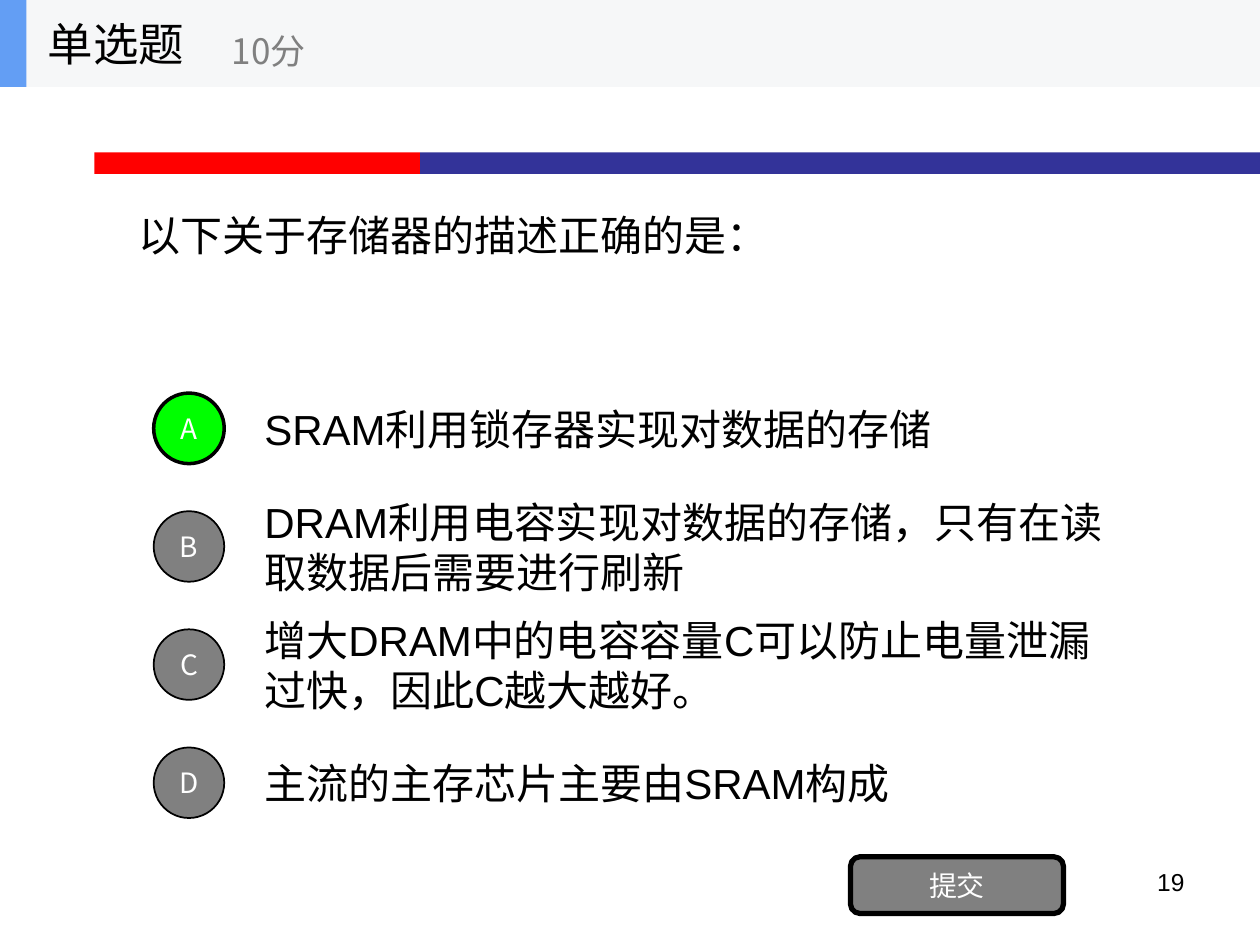
"""Build a single-choice quiz slide about memory chips."""
from dataclasses import dataclass

from lxml import etree
from pptx import Presentation
from pptx import util as u
from pptx.dml.color import RGBColor
from pptx.enum import shapes, text
from pptx.oxml.ns import qn

WIDTH, HEIGHT = 10, 7.5
ROW = HEIGHT / 8
FIRST_ROW = 3.05
ANSWER_HEIGHT = 0.7
BADGE = 0.56
HEADER = 0.69
SANS, CJK = "Arial", "Noto Sans CJK SC"
COLORS = {
    "black": "000000", "white": "FFFFFF", "gray": "808080", "green": "00FF00",
    "red": "FF0000", "navy": "333399", "header": "F6F7F8", "accent": "639EF4",
}


@dataclass(frozen=True)
class Box:
    left: float
    top: float
    width: float
    height: float

    def lengths(self) -> list:
        return [u.Inches(v) for v in (self.left, self.top, self.width, self.height)]


@dataclass(frozen=True)
class Style:
    size: int
    font: str = SANS
    color: str = "black"
    align: text.PP_ALIGN = text.PP_ALIGN.LEFT
    anchor: text.MSO_ANCHOR = text.MSO_ANCHOR.MIDDLE


@dataclass(frozen=True)
class Answer:
    letter: str
    wording: str
    correct: bool = False


BODY = Style(24)
BUTTON = Style(16, CJK, "white", text.PP_ALIGN.CENTER)
ANSWERS = [
    Answer("A", "SRAM利用锁存器实现对数据的存储", True),
    Answer("B", "DRAM利用电容实现对数据的存储，只有在读取数据后需要进行刷新"),
    Answer("C", "增大DRAM中的电容容量C可以防止电量泄漏过快，因此C越大越好。"),
    Answer("D", "主流的主存芯片主要由SRAM构成"),
]


def rgb(name: str) -> RGBColor:
    return RGBColor.from_string(COLORS[name])


def write(shape, wording: str, style: Style) -> None:
    frame = shape.text_frame
    frame.text = wording
    frame.word_wrap = True
    frame.auto_size = text.MSO_AUTO_SIZE.NONE
    frame.vertical_anchor = style.anchor
    paragraph = frame.paragraphs[0]
    paragraph.alignment = style.align
    for run in paragraph.runs:
        run.font.size = u.Pt(style.size)
        run.font.name = style.font
        run.font.color.rgb = rgb(style.color)
        east_asian = etree.SubElement(run.font._element, qn("a:ea"))
        east_asian.set("typeface", CJK)


def add_text(slide, box: Box, wording: str, style: Style) -> None:
    write(slide.shapes.add_textbox(*box.lengths()), wording, style)


def add_block(slide, kind, box: Box, fill: str, line: float = 0):
    shape = slide.shapes.add_shape(kind, *box.lengths())
    shape.shadow.inherit = False
    shape.fill.solid()
    shape.fill.fore_color.rgb = rgb(fill)
    if line:
        shape.line.color.rgb = rgb("black")
        shape.line.width = u.Pt(line)
    else:
        shape.line.fill.background()
    return shape


def add_button(slide, kind, box: Box, wording: str, fill: str, line: float) -> None:
    shape = add_block(slide, kind, box, fill, line)
    write(shape, wording, BUTTON)
    frame = shape.text_frame
    frame.margin_left = frame.margin_right = frame.margin_top = frame.margin_bottom = 0


def add_answer(slide, row: int, answer: Answer) -> None:
    top = FIRST_ROW + row * ROW
    add_text(slide, Box(2, top, 7, ANSWER_HEIGHT), answer.wording, BODY)
    badge = Box(1.22, top + (ANSWER_HEIGHT - BADGE) / 2, BADGE, BADGE)
    fill, line = ("green", 2) if answer.correct else ("gray", 1)
    add_button(slide, shapes.MSO_SHAPE.OVAL, badge, answer.letter, fill, line)


def add_header(slide) -> None:
    rectangle = shapes.MSO_SHAPE.RECTANGLE
    add_block(slide, rectangle, Box(0, 0, WIDTH, HEADER), "header")
    add_block(slide, rectangle, Box(0, 0, 0.21, HEADER), "accent")
    add_text(slide, Box(0.28, 0, 2.08, HEADER), "单选题", Style(26, CJK))
    add_text(slide, Box(1.74, 0.12, 2.5, 0.56), "10分", Style(20, CJK, "gray"))


def main() -> None:
    presentation = Presentation()
    presentation.slide_width = u.Inches(WIDTH)
    presentation.slide_height = u.Inches(HEIGHT)
    slide = presentation.slides.add_slide(presentation.slide_layouts[5])

    title = slide.shapes.title
    title.left, title.top, title.width, title.height = Box(1, HEADER, 8, 2.34).lengths()
    write(title, "以下关于存储器的描述正确的是：", BODY)

    split = WIDTH / 3
    rectangle = shapes.MSO_SHAPE.RECTANGLE
    add_block(slide, rectangle, Box(0.75, 1.21, split - 0.75, 0.17), "red")
    add_block(slide, rectangle, Box(split, 1.21, WIDTH - split, 0.17), "navy")
    for row, answer in enumerate(ANSWERS):
        add_answer(slide, row, answer)
    add_button(slide, shapes.MSO_SHAPE.ROUNDED_RECTANGLE,
               Box(6.75, 6.8, 1.69, 0.45), "提交", "gray", 3)
    add_header(slide)
    number = Style(14, align=text.PP_ALIGN.RIGHT, anchor=text.MSO_ANCHOR.TOP)
    add_text(slide, Box(7.17, 6.83, 2.33, 0.52), "19", number)
    presentation.save("out.pptx")


if __name__ == "__main__":
    main()
